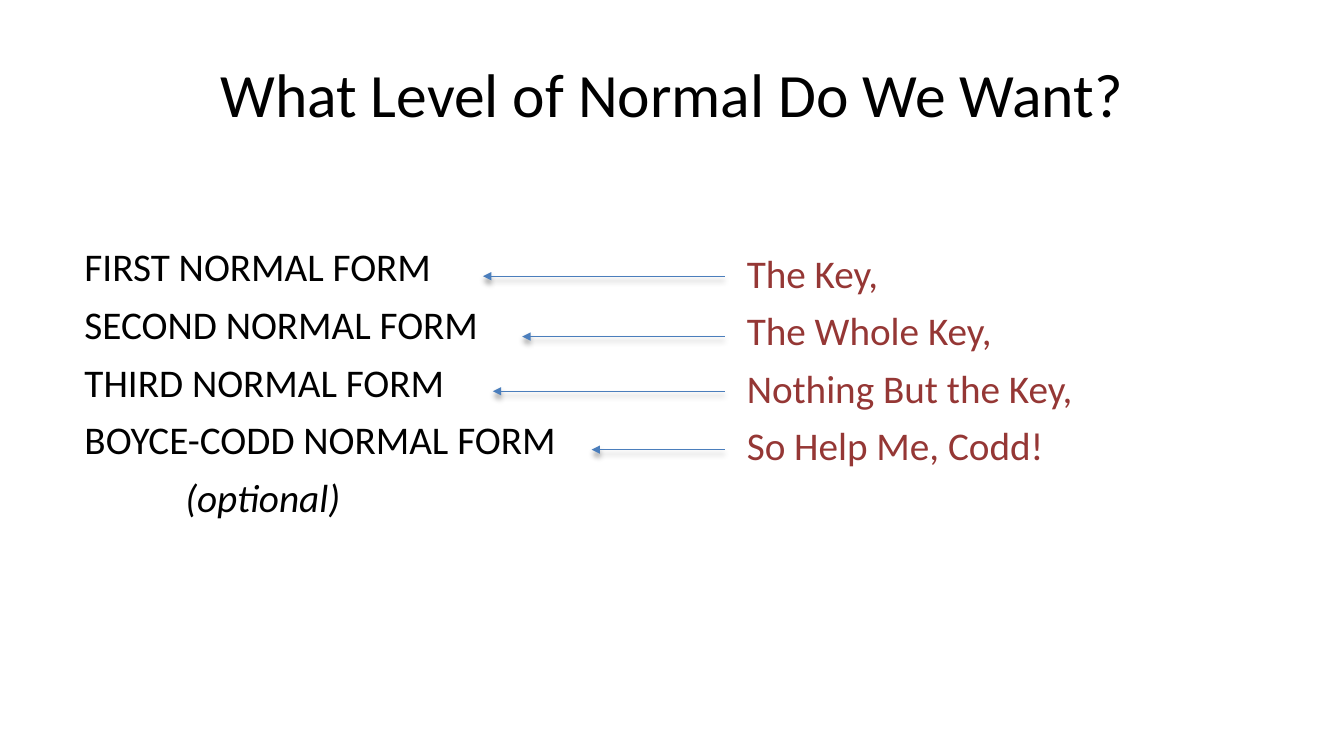
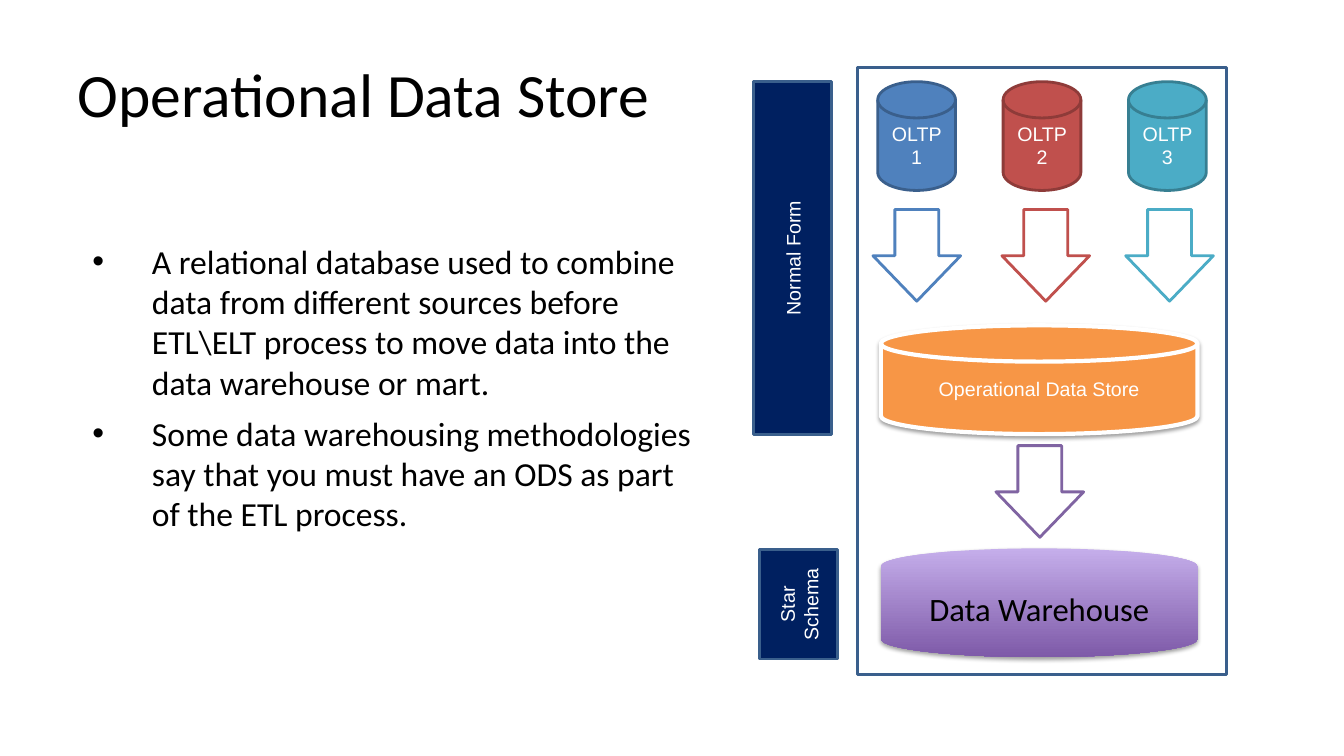
from pptx import Presentation
from pptx.dml.color import RGBColor as Rgb
from pptx.enum.shapes import MSO_CONNECTOR as Link, MSO_SHAPE as Form
from pptx.enum.text import MSO_ANCHOR as Anchor, PP_ALIGN as Align
from pptx.oxml import parse_xml as make
from pptx.oxml.ns import nsdecls, qn
from pptx.util import Cm, Pt

BLACK, WHITE = "000000", "FFFFFF"
MAROON, NAVY, EDGE, LINK = "953735", "002060", "3A5F8C", "4B7EBC"
ORANGE, PURPLE = "F79646", "8064A2"
TOP, BASE = "C5AEEB", "7E5AA8"
SITES = [
    ("OLTP 1", "4F81BD", "3A5F8C", 3),
    ("OLTP 2", "C0504D", "8E3B39", 6.25),
    ("OLTP 3", "4BACC6", "377F92", 9.37),
]
FORMS = ["FIRST NORMAL FORM", "SECOND NORMAL FORM", "THIRD NORMAL FORM", "BOYCE-CODD NORMAL FORM"]
KEYS = ["The Key,", "The Whole Key,", "Nothing But the Key,", "So Help Me, Codd!"]
TIPS = [(12.17, 6.96), (13.16, 8.48), (12.42, 9.86), (14.91, 11.33)]
POINTS = [
    "A relational database used to combine data from different sources before "
    "ETL\\ELT process to move data into the data warehouse or mart.",
    "Some data warehousing methodologies say that you must have an ODS as part of the ETL process.",
]


def color(code):
    return Rgb.from_string(code)


def place(x, y, w, h):
    return Cm(x), Cm(y), Cm(w), Cm(h)


def write(frame, text, size=28, tint=BLACK, font="Calibri", align=Align.LEFT,
          before=0, lead=None, slant=None, indent=0, bullet=False):
    part = frame.paragraphs[0] if not frame.text else frame.add_paragraph()
    part.alignment = align
    part.space_before = Pt(before)
    if lead:
        part.line_spacing = lead
    run = part.add_run()
    run.text = text
    run.font.size = Pt(size)
    run.font.name = font
    run.font.italic = slant
    run.font.color.rgb = color(tint)
    props = part._p.get_or_add_pPr()
    if indent:
        props.set("marL", str(Cm(indent)))
    if bullet:
        props.set("indent", str(-Cm(1.5)))
        props.append(make(f'<a:buFont {nsdecls("a")} typeface="Arial"/>'))
        props.append(make(f'<a:buChar {nsdecls("a")} char="•"/>'))


def shade(shape, blur=0, drop=0, alpha=0):
    inner = ""
    if blur:
        inner = (f'<a:outerShdw blurRad="{Pt(blur)}" dist="{Pt(drop)}" dir="5400000" '
                 f'rotWithShape="0"><a:srgbClr val="{BLACK}"><a:alpha val="{alpha * 1000}"/>'
                 '</a:srgbClr></a:outerShdw>')
    shape.element.spPr.append(make(f'<a:effectLst {nsdecls("a")}>{inner}</a:effectLst>'))


def draw(slide, form, box, fill, edge=None, width=2, glow=()):
    shape = slide.shapes.add_shape(form, *place(*box))
    if isinstance(fill, tuple):
        shape.fill.gradient()
        shape.fill.gradient_angle = 270
        for stop, code in zip(shape.fill.gradient_stops, fill):
            stop.color.rgb = color(code)
    else:
        shape.fill.solid()
        shape.fill.fore_color.rgb = color(fill)
    if edge:
        shape.line.color.rgb = color(edge)
        shape.line.width = Pt(width)
    else:
        shape.line.fill.background()
    shade(shape, *glow)
    shape.text_frame.vertical_anchor = Anchor.MIDDLE
    return shape


def label(shape, text, **style):
    look = dict(size=14, tint=WHITE, font="Arial", align=Align.CENTER)
    write(shape.text_frame, text, **(look | style))


def start(deck, text, align):
    slide = deck.slides.add_slide(deck.slide_layouts[5])
    title = slide.shapes.title
    title.left, title.top, title.width, title.height = place(1.7, 0.76, 30.48, 3.18)
    title.text_frame.vertical_anchor = Anchor.MIDDLE
    write(title.text_frame, text, size=44, align=align)
    return slide


def column(slide, box, lines, **style):
    frame = slide.shapes.add_textbox(*place(*box)).text_frame
    frame.word_wrap = True
    for line in lines:
        write(frame, line, before=7.5, **style)
    return frame


def arrow(slide, x, y, end):
    link = slide.shapes.add_connector(Link.STRAIGHT, Cm(x), Cm(y), Cm(end), Cm(y))
    link.line.color.rgb = color(LINK)
    link.line.width = Pt(0.75)
    stroke = link.element.spPr.find(qn("a:ln"))
    stroke.append(make(f'<a:tailEnd {nsdecls("a")} type="triangle"/>'))
    shade(link, 4, 3, 40)


def block(slide, x, y, w, h, edge):
    shape = draw(slide, Form.DOWN_ARROW, (x, y, w, h), WHITE, edge)
    shape.adjustments[0], shape.adjustments[1] = 0.5, 0.518


def banner(slide, box, text):
    shape = draw(slide, Form.RECTANGLE, box, NAVY, EDGE)
    shape.element.txBody.bodyPr.set("vert", "vert270")
    label(shape, text)


def flow(slide, x, y, w, h):
    disk = Form.FLOWCHART_MAGNETIC_DISK
    inset, bar, tall = 2.62, 1.96, 2.74
    draw(slide, Form.RECTANGLE, (x + inset, y, w - inset, h), WHITE, EDGE)
    for i, (name, fill, edge, left) in enumerate(SITES):
        site = draw(slide, disk, (x + 3.12 + i * 3.16, y + 0.36, bar, tall), fill, edge)
        label(site, name)
        block(slide, x + left, y + 3.58, 2.21, 2.31, fill)
    store = draw(slide, disk, (x + 3.2, y + 6.5, 7.98, tall), ORANGE, WHITE, 3, (3.1, 1.6, 38))
    label(store, "Operational Data Store")
    block(slide, x + 6.1, y + 9.53, 2.21, 2.31, PURPLE)
    house = draw(slide, disk, (x + 3.2, y + 12.12, 7.98, tall), (TOP, BASE), glow=(3.1, 1.6, 38))
    label(house, "Data Warehouse", size=23.3, tint=BLACK, font="Calibri", before=7.5, lead=0.8)
    banner(slide, (x, y + 0.36, bar, 8.89), "Normal Form")
    banner(slide, (x + 0.15, y + 12.14, bar, 2.77), "Star Schema")


def levels(deck):
    slide = start(deck, "What Level of Normal Do We Want?", Align.CENTER)
    frame = column(slide, (1.88, 5.99, 13.03, 10.77), FORMS)
    write(frame, "(optional)", before=7.5, slant=True, indent=2.54)
    column(slide, (18.57, 6.15, 11.96, 8.92), KEYS, tint=MAROON)
    for end, y in TIPS:
        arrow(slide, 18.26, y, end)


def store(deck):
    slide = start(deck, "Operational Data Store", Align.LEFT)
    column(slide, (1.88, 5.94, 16, 10.85), POINTS, size=24, indent=1.7, bullet=True)
    flow(slide, 19, 1.7, 11.92, 15.29)


def main():
    deck = Presentation()
    deck.slide_width, deck.slide_height = Cm(33.87), Cm(19.05)
    levels(deck)
    store(deck)
    deck.save("out.pptx")


if __name__ == "__main__":
    main()
